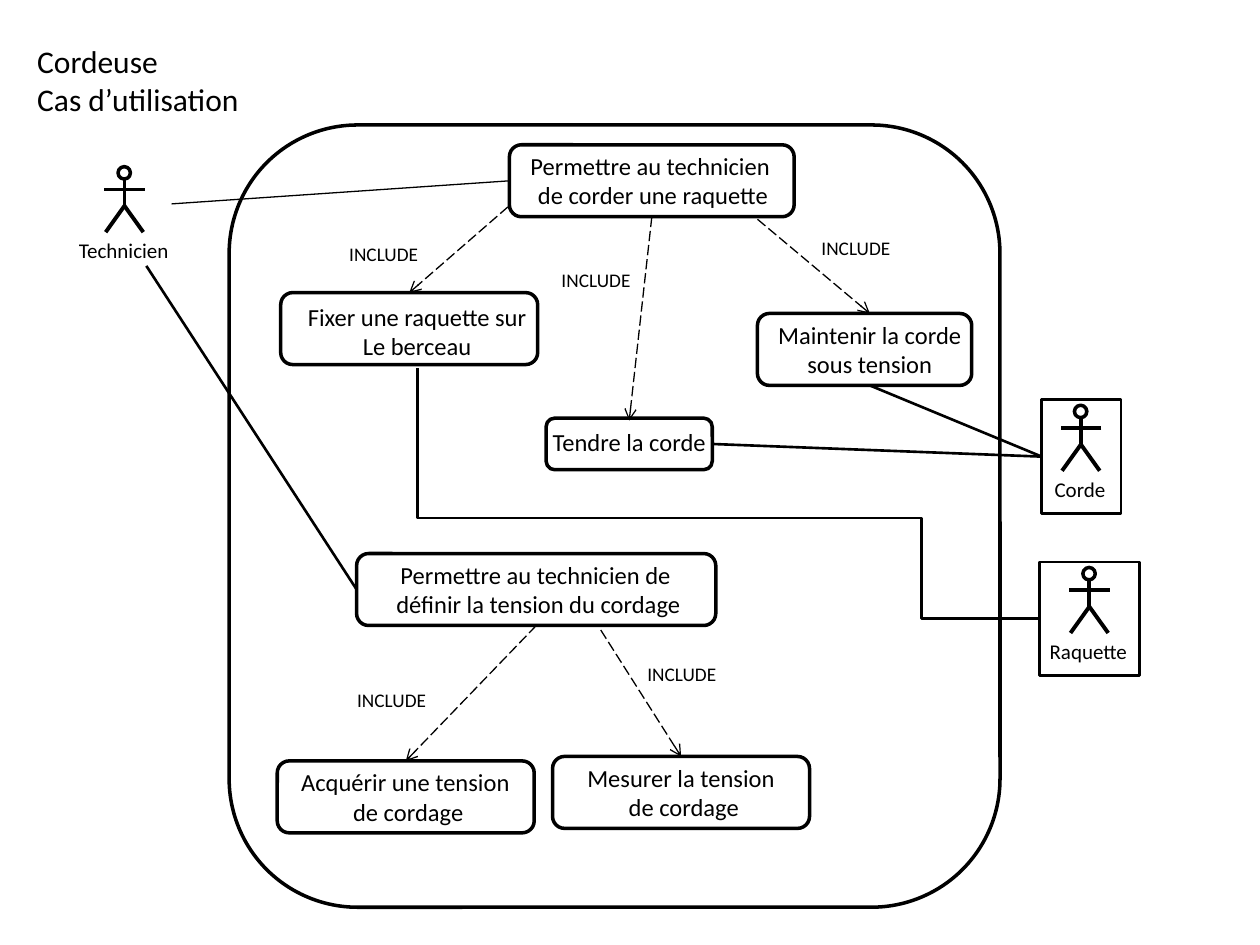
from pptx import Presentation
from pptx.dml.color import RGBColor
from pptx.enum.dml import MSO_LINE_DASH_STYLE as Dash
from pptx.enum.shapes import MSO_CONNECTOR_TYPE as Link, MSO_SHAPE as Preset
from pptx.enum.text import MSO_AUTO_SIZE as AutoSize, PP_ALIGN as Align
from pptx.oxml.ns import qn
from pptx.util import Cm, Pt
from lxml.etree import SubElement

color = RGBColor.from_string
BLACK = "000000"

presentation = Presentation()
presentation.slide_width, presentation.slide_height = Cm(25.4), Cm(19.05)
slide = presentation.slides.add_slide(presentation.slide_layouts[6])

use_cases = {
    "corder": ((10.27, 2.92, 5.74, 1.45), (10.41, 2.92, 5.51, 1.45),
               ["Permettre au technicien ", "de corder une raquette"]),
    "acquérir": ((5.59, 15.34, 5.18, 1.45), (5.8, 15.34, 4.75, 1.45),
                 ["Acquérir une tension", " de cordage"]),
    "maintenir": ((15.27, 6.32, 4.32, 1.45), (14.93, 6.32, 5.21, 1.45),
                  ["Maintenir la corde", "sous tension"]),
    "définir": ((7.19, 11.16, 7.24, 1.45), (7.55, 11.16, 6.5, 1.45),
                ["Permettre au technicien de", " définir la tension du cordage"]),
    "fixer": ((5.66, 5.9, 5.18, 1.45), (5.92, 5.96, 4.98, 1.45),
              ["Fixer une raquette sur", "Le berceau"]),
    "mesurer": ((11.14, 15.25, 5.18, 1.45), (11.57, 15.25, 4.32, 1.45),
                ["Mesurer la tension", " de cordage"]),
    "tendre": ((11.01, 8.43, 3.35, 1.04), (10.87, 8.48, 3.63, 0.86),
               ["Tendre la corde"]),
}
actors = {
    "Technicien": ((2.51, 3.36), (1.34, 2.34), None),
    "Corde": ((21.79, 8.17), (21.01, 1.55), (21, 8.06, 1.6, 2.29)),
    "Raquette": ((21.96, 11.44), (20.91, 2.08), (20.96, 11.33, 2.01, 2.29)),
}
include_places = [(6.79, 4.75), (16.31, 4.63), (6.95, 13.75), (12.8, 13.23), (11.07, 5.28)]

outlines = [("system", Preset.ROUNDED_RECTANGLE, (4.62, 2.52, 15.54, 15.77), 2)]
texts = [("title", (0.5, 0.73, 4.62, 1.8), ["Cordeuse", "Cas d’utilisation"], 18, Align.LEFT)]
strokes = []

for name, (box, text_box, wording) in use_cases.items():
    outlines.append((name, Preset.ROUNDED_RECTANGLE, box, 2))
    texts.append((f"{name} text", text_box, wording, 14, Align.CENTER))

for name, ((x, y), (label_left, label_width), frame) in actors.items():
    outlines.append((f"{name} head", Preset.OVAL, (x - 0.13, y, 0.25, 0.25), 2))
    texts.append((f"{name} label", (label_left, y + 1.31, label_width, 0.76), [name], 12, Align.LEFT))
    if frame:
        outlines.append((name, Preset.RECTANGLE, frame, 1.5))
    limbs = [(0, 0.25, 0, 0.79), (0, 0.79, 0.38, 1.32), (0, 0.79, -0.38, 1.32), (0.41, 0.46, -0.41, 0.46)]
    for x1, y1, x2, y2 in limbs:
        strokes.append(((x + x1, y + y1), (x + x2, y + y2), 2.25, False))

for number, (left, top) in enumerate(include_places, 1):
    texts.append((f"include {number}", (left, top, 1.93, 0.74), ["INCLUDE"], 11, Align.LEFT))

shapes = {}
for name, preset, box, weight in outlines:
    shape = slide.shapes.add_shape(preset, *map(Cm, box))
    shape.shadow.inherit = False
    shape.fill.background()
    shape.line.color.rgb = color(BLACK)
    shape.line.width = Pt(weight)
    shapes[name] = shape

for name, box, wording, size, alignment in texts:
    shape = slide.shapes.add_textbox(*map(Cm, box))
    frame_format = {"word_wrap": False, "auto_size": AutoSize.SHAPE_TO_FIT_TEXT}
    for key, value in frame_format.items():
        setattr(shape.text_frame, key, value)
    shape.text_frame.text = "\n".join(wording)
    for paragraph in shape.text_frame.paragraphs:
        paragraph.alignment = alignment
        font = paragraph.runs[0].font
        for key, value in {"name": "Calibri", "size": Pt(size)}.items():
            setattr(font, key, value)
        font.color.rgb = color(BLACK)
    shapes[name] = shape

TOP, LEFT, BOTTOM, RIGHT = range(4)
strokes += [
    ((3.46, 4.11), ("corder", LEFT), 0.75, False),
    ((2.95, 5.36), ("définir", LEFT), 1.5, False),
    (("Corde", LEFT), ("maintenir text", BOTTOM), 1.5, False),
    (("Corde", LEFT), ("tendre", RIGHT), 1.5, False),
    ((15.27, 4.42), ("maintenir text", TOP), 0.75, True),
    ((10.24, 4.17), ("fixer", TOP), 0.75, True),
    (("corder", BOTTOM), ("tendre text", TOP), 0.75, True),
    (("définir", BOTTOM), ("acquérir", TOP), 0.75, True),
    ((12.11, 12.7), ("mesurer", TOP), 0.75, True),
]
connectors = []
for start, end, weight, is_include in strokes:
    points = [(0, 0) if isinstance(place[0], str) else place for place in (start, end)]
    connector = slide.shapes.add_connector(Link.STRAIGHT, *map(Cm, points[0] + points[1]))
    for place, connect in ((start, connector.begin_connect), (end, connector.end_connect)):
        if isinstance(place[0], str):
            connect(shapes[place[0]], place[1])
    connectors.append((connector, weight, is_include))

corner = slide.shapes.add_connector(Link.ELBOW, *map(Cm, (10.81, 5.03, 13.83, 12.83)))
corner_properties = corner.element.spPr
corner_properties.find(qn("a:prstGeom")).set("prst", "bentConnector2")
for key, value in {"rot": "16200000", "flipH": "1"}.items():
    corner_properties.find(qn("a:xfrm")).set(key, value)
step = slide.shapes.add_connector(Link.ELBOW, *map(Cm, (16.2, 10.44, 20.96, 12.47)))
connectors += [(corner, 1.5, False), (step, 1.5, False)]

for connector, weight, is_include in connectors:
    connector.line.color.rgb = color(BLACK)
    connector.line.width = Pt(weight)
    properties = connector.element.spPr
    if is_include:
        connector.line.dash_style = Dash.LONG_DASH
        SubElement(properties.find(qn("a:ln")), qn("a:tailEnd"), type="arrow")
    SubElement(properties, qn("a:effectLst"))

presentation.save("out.pptx")
